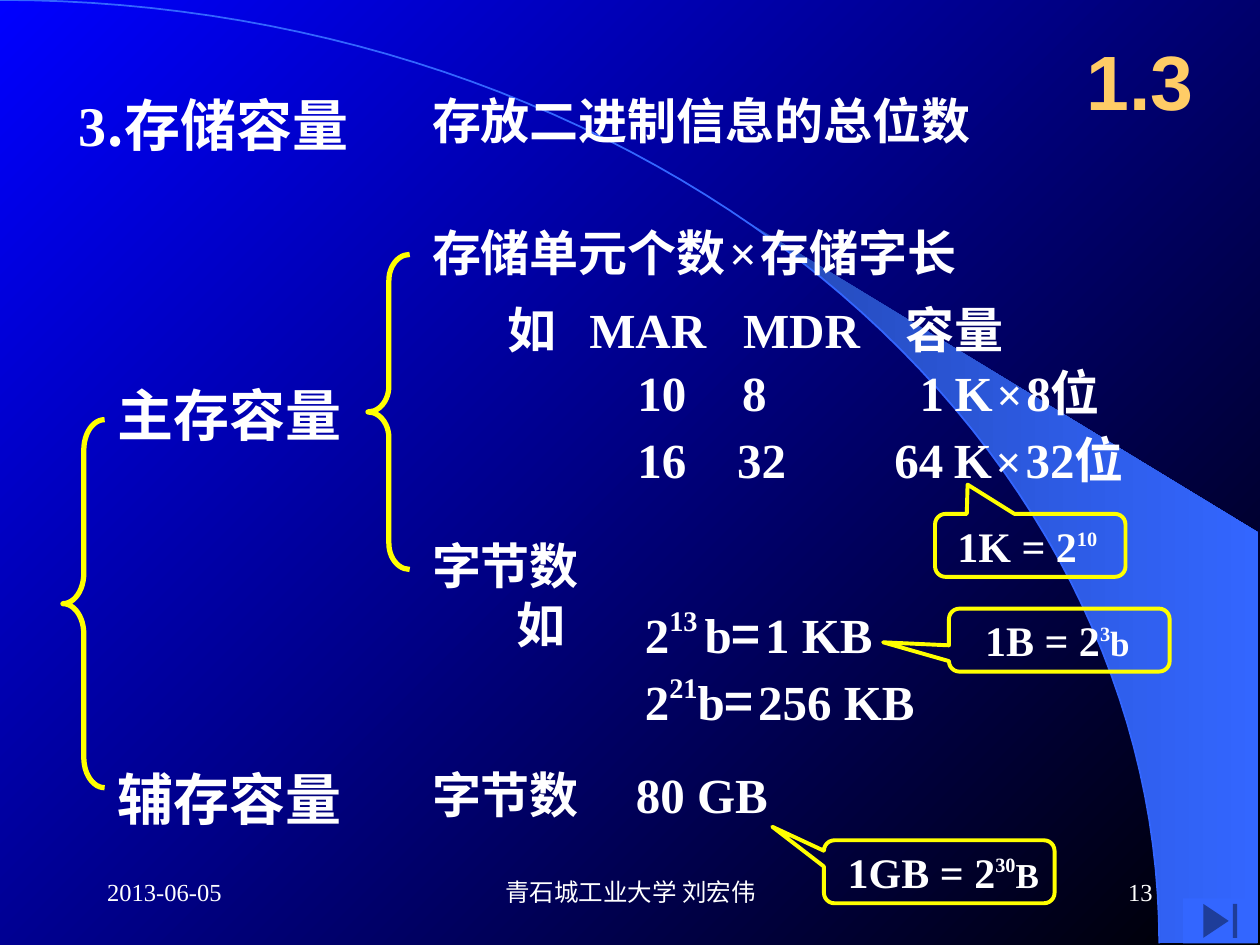
from math import asin, cos, pi, sin

from lxml.etree import SubElement
from pptx import Presentation
from pptx.dml.color import RGBColor
from pptx.enum.shapes import MSO_SHAPE as Shape
from pptx.enum.text import MSO_ANCHOR as Anchor, MSO_AUTO_SIZE as AutoSize, PP_ALIGN as Align
from pptx.oxml.ns import qn
from pptx.util import Cm, Pt

SERIF, CJK, SANS = "Times New Roman", "Noto Sans CJK SC", "Arial"
WHITE, YELLOW, BLUE, NAVY, GOLD = "FFFFFF", "FFFF00", "3366FF", "2449B6", "FFCC66"


def color(value):
    return RGBColor.from_string(value)


def han(text, **style):
    return text, {"name": CJK, **style}


def sup(text, **style):
    return text, {"baseline": 45, **style}


def gap(size):
    return " ", {"size": size}


def apply(target, values):
    for name, value in values.items():
        setattr(target, name, value)


class SlideWriter:
    text_style = {"name": SERIF, "size": 28, "bold": True, "color": WHITE}

    def __init__(self, page):
        self.page = page

    def gradient(self, fill, start, end, angle):
        fill.gradient()
        fill.gradient_angle = angle
        for stop, value in zip(fill.gradient_stops, (start, end)):
            stop.color.rgb = color(value)

    def outline(self, shape, value, width):
        shape.shadow.inherit = False
        shape.fill.background()
        shape.line.color.rgb = color(value)
        shape.line.width = Pt(width)

    def freeform(self, points, close):
        points = [(Cm(x), Cm(y)) for x, y in points]
        builder = self.page.shapes.build_freeform(*points[0])
        builder.add_line_segments(points[1:], close=close)
        shape = builder.convert_to_shape()
        shape.shadow.inherit = False
        return shape

    def shape(self, kind, place, adjustments=()):
        shape = self.page.shapes.add_shape(kind, *map(Cm, place))
        shape.shadow.inherit = False
        for index, value in enumerate(adjustments):
            shape.adjustments[index] = value
        return shape

    def brace(self, place, curve):
        self.outline(self.shape(Shape.LEFT_BRACE, place, (curve, 0.5)), YELLOW, 3)

    def callout(self, place, tip, text_place, spans):
        shape = self.shape(Shape.ROUNDED_RECTANGULAR_CALLOUT, place, (*tip, 0.167))
        self.outline(shape, YELLOW, 2.25)
        self.text(text_place, spans, size=24)

    def text(self, place, spans, box=None, tabs=(), align=Align.LEFT,
             anchor=Anchor.TOP, **style):
        left, top, width, height = map(Cm, place)
        if box is None:
            box = self.page.shapes.add_textbox(left, top, width, height)
        frame = box.text_frame
        fits = anchor == Anchor.TOP
        apply(box, {"left": left, "top": top, "width": width, "height": height})
        apply(frame, {"word_wrap": True, "vertical_anchor": anchor,
                      "auto_size": AutoSize.SHAPE_TO_FIT_TEXT if fits else AutoSize.NONE})
        para = frame.paragraphs[0]
        para.alignment = align
        if tabs:
            tab_list = SubElement(para._p.get_or_add_pPr(), qn("a:tabLst"))
            for position in tabs:
                SubElement(tab_list, qn("a:tab"), pos=str(int(Cm(position))), algn="l")
        for item in spans:
            words, changes = (item, {}) if isinstance(item, str) else item
            self.span(para, words, {**self.text_style, **style, **changes})

    def span(self, para, words, style):
        span = para.add_run()
        span.text = words
        apply(span.font, {"name": style["name"], "size": Pt(style["size"]),
                          "bold": style["bold"]})
        span.font.color.rgb = color(style["color"])
        properties = span._r.get_or_add_rPr()
        SubElement(properties, qn("a:ea"), typeface=CJK)
        if "baseline" in style:
            properties.set("baseline", str(style["baseline"] * 1000))


def draw_background(writer):
    writer.gradient(writer.page.background.fill, "0000FF", "000000", 315)

    # Quarter ellipse shared by the thin arc and the blue wedge
    radius_x, radius_y, steps = 23.37, 19.02, 60

    def arc(start):
        angles = [start + (pi / 2 - start) * step / steps for step in range(steps + 1)]
        return [(radius_x * sin(a), radius_y * (1 - cos(a))) for a in angles]

    wedge = writer.freeform(arc(asin(0.64)) + [(25.37, 19.02), (25.37, 10.74)], True)
    writer.gradient(wedge.fill, NAVY, BLUE, 0)
    wedge.line.fill.background()
    writer.outline(writer.freeform(arc(0), False), BLUE, 1)


def draw_outline(writer):
    # Heading and section number
    writer.text((1.32, 1.7, 8.84, 1.6), ["3", han(".存储容量")],
                box=writer.page.shapes.title, size=32)
    writer.text((21.39, 0.43, 3.18, 2.34), ["1.3"], align=Align.CENTER,
                anchor=Anchor.MIDDLE, name=SANS, size=44, color=GOLD)

    # Braces and the two kinds of capacity
    writer.brace((1.27, 8.46, 0.84, 7.42), 0.729)
    writer.brace((7.42, 5.13, 0.84, 6.35), 0.625)
    for top, label in ((7.54, "主存容量"), (15.29, "辅存容量")):
        writer.text((2.11, top, 6.6, 1.6), [han(label)], size=32)

    # Definitions
    definitions = (
        (1.7, [han("存放二进制信息的总位数")], ()),
        (4.37, [han("存储单元个数"), gap(9), "×", gap(9), han("存储字长")], ()),
        (10.67, [han("字节数")], ()),
        (15.29, [han("字节数"), "\t80 GB"], (4.11,)),
    )
    for top, spans, tabs in definitions:
        writer.text((8.46, top, 14.17, 1.45), spans, tabs=tabs)


def draw_examples(writer):
    # Register widths and the capacity they give
    writer.text((9.98, 5.92, 14.58, 1.45), [han("如"), "\tMAR\tMDR\t", han("容量")],
                tabs=(1.65, 4.75, 8.03))
    rows = ((7.19, "10\t8", 2.11, 18.29, "1", "8位"),
            (8.53, "16\t32", 2.01, 17.78, "64", "32位"))
    for top, registers, tab, left, units, word in rows:
        writer.text((12.6, top, 5.1, 1.45), [registers], tabs=(tab,))
        writer.text((left, top, 5.9, 1.45),
                    [units, gap(24), "K", gap(9), ("×", {"size": 26}), gap(9), word])

    # Bits to bytes
    writer.text((10.16, 11.86, 2.11, 1.45), [han("如")])
    for top, power, size in ((12.04, "13 ", "1"), (13.39, "21", "256")):
        writer.text((12.75, top, 7.2, 1.45),
                    ["2", sup(power), "b", han("="), gap(10), size, " KB"])

    # Unit callouts
    small = {"size": 20}
    writer.callout((18.85, 10.36, 3.84, 1.27), (-0.329, -0.965),
                   (19.05, 10.36, 5.05, 1.27), ["1K = 2", sup("10", **small)])
    writer.callout((19.13, 12.27, 4.45, 1.27), (-0.798, 0.035),
                   (19.61, 12.27, 5.7, 1.27), ["1B = 2", sup("3", **small), ("b", small)])
    writer.callout((16.61, 16.94, 4.65, 1.27), (-0.724, -0.715),
                   (16.84, 16.94, 6.38, 1.27), ["1GB = 2", sup("30", **small), ("B", small)])


def draw_footer(writer):
    button = writer.shape(Shape.ACTION_BUTTON_END, (23.85, 18.11, 1.5, 0.91))
    button.fill.solid()
    button.fill.fore_color.rgb = color(BLUE)
    button.line.fill.background()
    entries = ((1.91, 5.28, "2013-06-05", Align.LEFT),
               (8.69, 8.05, "青石城工业大学 刘宏伟", Align.CENTER),
               (18.21, 5.28, "13", Align.RIGHT))
    for left, width, words, align in entries:
        writer.text((left, 17.35, width, 1.27), [words], align=align,
                    anchor=Anchor.MIDDLE, size=14, bold=False)


def main():
    deck = Presentation()
    deck.slide_width, deck.slide_height = Cm(25.4), Cm(19.05)
    writer = SlideWriter(deck.slides.add_slide(deck.slide_layouts[5]))
    draw_background(writer)
    draw_outline(writer)
    draw_examples(writer)
    draw_footer(writer)
    deck.save("out.pptx")


if __name__ == "__main__":
    main()
